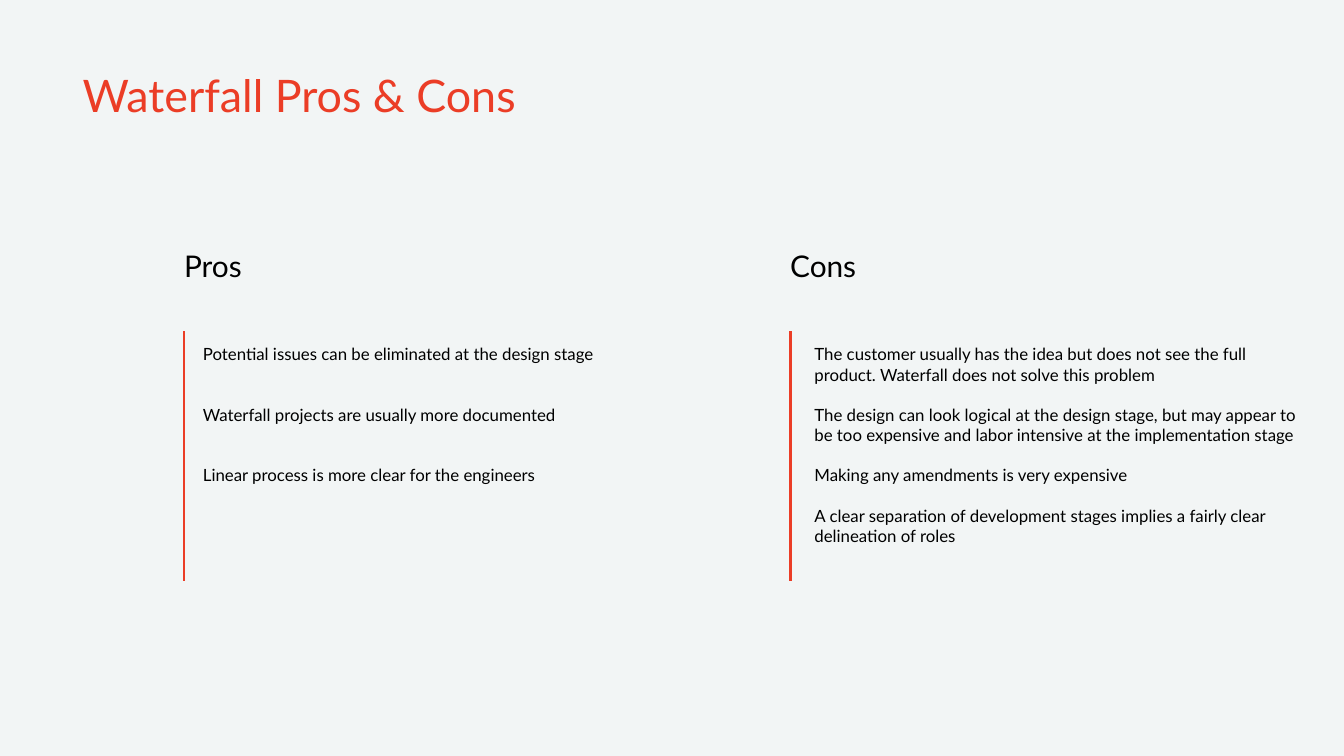
"""Build the Waterfall pros and cons slide."""
from lxml.etree import SubElement
from pptx import Presentation
from pptx.dml.color import RGBColor
from pptx.enum.shapes import MSO_CONNECTOR as CONN
from pptx.enum.text import MSO_AUTO_SIZE as AUTO
from pptx.oxml.ns import qn
from pptx.util import Pt

PX = 4572
RED, BLACK, PALE = "EB3D26", "000000", "F2F5F5"


def rgb(value):
    return RGBColor.from_string(value)


def add_text(lines, x, y, w, h, size=9, color=BLACK, gap=0, right=20):
    s = slide.shapes.add_textbox(x * PX, y * PX, w * PX, h * PX)
    tf = s.text_frame
    tf.word_wrap = True
    tf.auto_size = AUTO.SHAPE_TO_FIT_TEXT
    tf.margin_left, tf.margin_right = 0, right * PX
    tf.margin_top = tf.margin_bottom = 20 * PX
    for i, line in enumerate(lines):
        p = tf.paragraphs[0] if i == 0 else tf.add_paragraph()
        p.space_before = Pt(gap if i else 0)
        r = p.add_run()
        r.text = line
        r.font.name, r.font.size = "Lato", Pt(size)
        r.font.color.rgb = rgb(color)


prs = Presentation()
prs.slide_width, prs.slide_height = 2000 * PX, 1125 * PX
slide = prs.slides.add_slide(prs.slide_layouts[6])
slide.background.fill.solid()
slide.background.fill.fore_color.rgb = rgb(PALE)

add_text(["Waterfall Pros & Cons"], 123, 81, 686, 122, size=24, color=RED, right=0)

columns = [
    ("Pros", 274, 302, 808, 252, 21.6, [
        "Potential issues can be eliminated at the design stage",
        "Waterfall projects are usually more documented",
        "Linear process is more clear for the engineers",
    ]),
    ("Cons", 1176, 1212, 738, 374, 10.8, [
        "The customer usually has the idea but does not see the full product. "
        "Waterfall does not solve this problem",
        "The design can look logical at the design stage, but may appear to be "
        "too expensive and labor intensive at the implementation stage",
        "Making any amendments is very expensive",
        "A clear separation of development stages implies a fairly clear "
        "delineation of roles",
    ]),
]

for heading, x, text_x, w, h, gap, points in columns:
    add_text(points, text_x, 492, w, h, gap=gap)
    rule = slide.shapes.add_connector(CONN.STRAIGHT, x * PX, 864 * PX, x * PX, 492 * PX)
    rule.line.color.rgb = rgb(RED)
    rule.line.width = Pt(1.5)
    SubElement(rule._element.spPr, qn("a:effectLst"))
    add_text([heading], x, 348, 248, 94, size=16)

prs.save("out.pptx")
